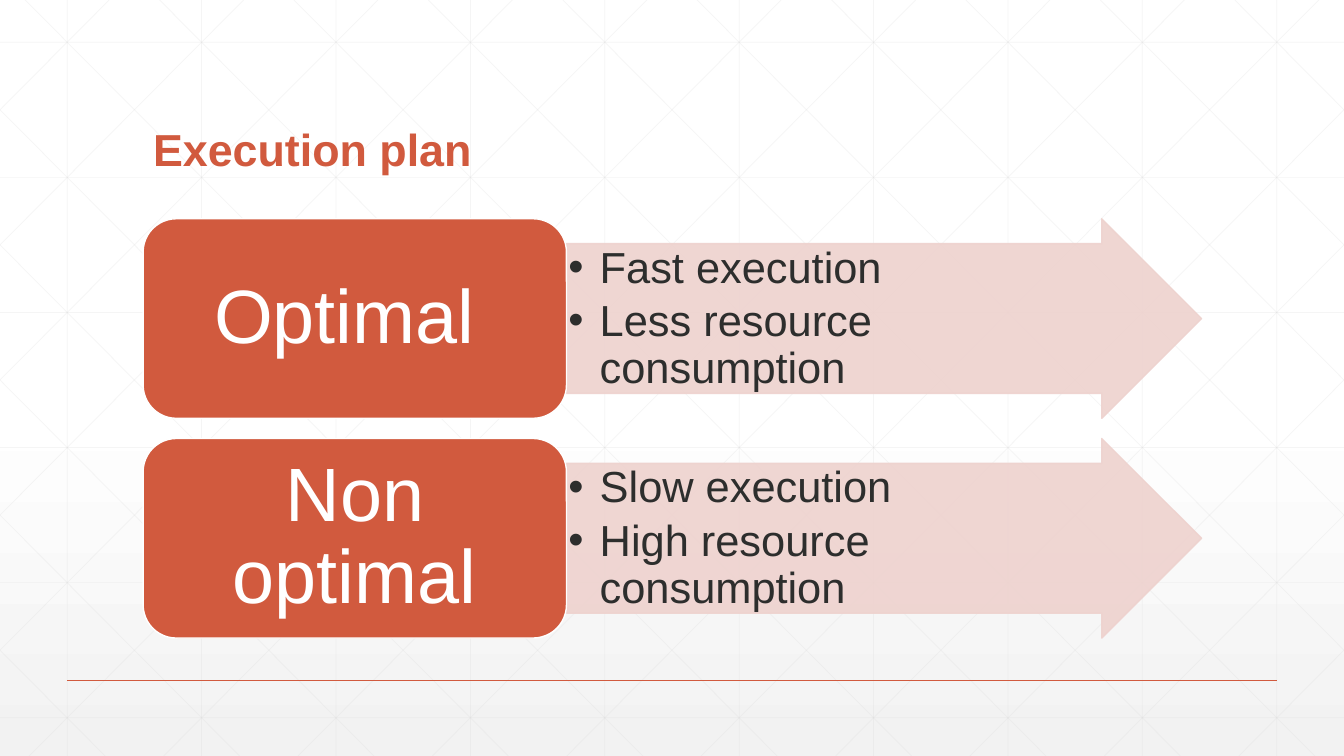
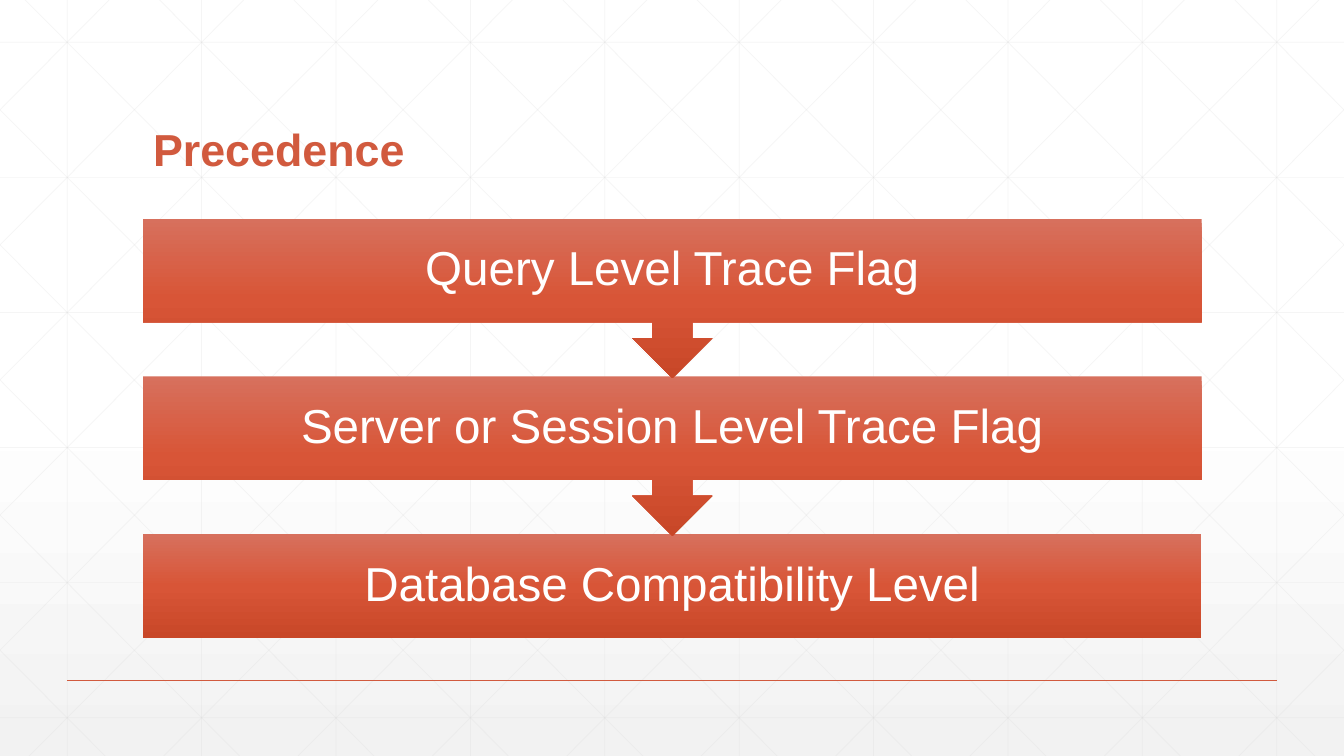
from lxml.etree import SubElement as Sub
from pptx import Presentation
from pptx.dml.color import RGBColor
from pptx.enum.shapes import MSO_CONNECTOR as Conn, MSO_SHAPE as Geo
from pptx.enum.text import MSO_ANCHOR as Anchor, PP_ALIGN as Align
from pptx.oxml.ns import qn
from pptx.util import Inches, Pt

# Content
PLANS = [
    ("Optimal ", ["Fast execution", "Less resource consumption"]),
    ("Non optimal", ["Slow execution", "High resource consumption"]),
]
LEVELS = [
    "Query Level Trace Flag",
    "Server or Session Level Trace Flag",
    "Database Compatibility Level",
]

# Shared look
FONT = "Arial"
RUST, PINK, INK, WHITE, GRAY = "D15A3E", "EED2CE", "2D2E2D", "FFFFFF", "D9D9D9"
PAPER = [(0, WHITE, 100), (53, WHITE, 100), (100, "F2F2F2", 65)]
GLOW = [(0, "D7705D", 100), (50, "D85537", 100), (100, "C84728", 100)]
WIDE, HIGH = 13.333, 7.5
CELL = WIDE / 10
LEFT, TOP, SPAN, DEPTH = 1.42, 2.17, 10.5, 4.16


def rgb(code):
    return RGBColor.from_string(code)


def fade(item, share):
    """Make every colour of a shape or line partly transparent."""
    for tint in item._element.spPr.iter(qn("a:srgbClr")):
        Sub(tint, qn("a:alpha"), val=str(share * 1000))


def blend(fill, root, stops):
    """Give a fill a gradient that runs from top to bottom."""
    fill.gradient()
    fill.gradient_angle = 270
    chain = next(root.iter(qn("a:gsLst")))
    for old in list(chain):
        chain.remove(old)
    for place, code, share in stops:
        stop = Sub(chain, qn("a:gs"), pos=str(place * 1000))
        tint = Sub(stop, qn("a:srgbClr"), val=code)
        if share < 100:
            Sub(tint, qn("a:alpha"), val=str(share * 1000))


def rule(slide, x1, y1, x2, y2, code, width):
    line = slide.shapes.add_connector(
        Conn.STRAIGHT, *[Inches(v) for v in (x1, y1, x2, y2)])
    line.line.color.rgb = rgb(code)
    line.line.width = Pt(width)
    Sub(line._element.spPr, qn("a:effectLst"))
    return line


def write(shape, lines, size, code, align=Align.CENTER, anchor=Anchor.MIDDLE,
          pads=(0.1, 0.05, 0.1, 0.05), bold=False, dots=False):
    frame = shape.text_frame
    frame.word_wrap = True
    frame.vertical_anchor = anchor
    (frame.margin_left, frame.margin_top,
     frame.margin_right, frame.margin_bottom) = [Inches(v) for v in pads]
    frame.text = "\n".join(lines)
    for para in frame.paragraphs:
        para.alignment = align
        para.line_spacing = 0.9
        if dots:
            para.space_after = Pt(0.15 * size)
            props = para._p.get_or_add_pPr()
            props.set("marL", str(Inches(0.31)))
            props.set("indent", str(-Inches(0.31)))
            Sub(props, qn("a:buFont"), typeface=FONT)
            Sub(props, qn("a:buChar"), char="•")
        font = para.font
        font.name, font.size, font.bold = FONT, Pt(size), bold
        font.color.rgb = rgb(code)


def block(slide, geo, x, y, w, h, fill=None, edge=None):
    shape = slide.shapes.add_shape(geo, *[Inches(v) for v in (x, y, w, h)])
    shape.shadow.inherit = False
    if fill:
        shape.fill.solid()
        shape.fill.fore_color.rgb = rgb(fill)
    else:
        blend(shape.fill, shape._element, GLOW)
    if edge:
        shape.line.color.rgb = rgb(edge)
        shape.line.width = Pt(1)
    else:
        shape.line.fill.background()
    return shape


def mesh():
    """Ends of the faint grid lines and of both sets of diagonals."""
    for i in range(10):
        yield (i + 0.5) * CELL, 0, (i + 0.5) * CELL, HIGH
    for i in range(6):
        yield 0, 0.42 + 1.34 * i, WIDE, 0.42 + 1.34 * i
    run = 7.46
    for i in range(-5, 10):
        start = 0.25 + i * CELL
        x1, x2 = max(start, 0), min(start + run, WIDE)
        y1, y2 = [(x - start) * HIGH / run for x in (x1, x2)]
        yield x1, y1, x2, y2
        yield WIDE - x1, y1, WIDE - x2, y2


def base(deck, title):
    slide = deck.slides.add_slide(deck.slide_layouts[6])
    blend(slide.background.fill, slide._element, PAPER)
    for ends in mesh():
        fade(rule(slide, *ends, GRAY, 0.5), 25)
    rule(slide, CELL / 2, 0.9 * HIGH, WIDE - CELL / 2, 0.9 * HIGH, RUST, 1)
    head = slide.shapes.add_textbox(
        *[Inches(v) for v in (LEFT, 0.55, SPAN, 1.25)])
    write(head, [title], 32, RUST, Align.LEFT, Anchor.BOTTOM, bold=True)
    return slide


def plans(deck):
    slide = base(deck, "Execution plan")
    tall, step, part = 1.98, 2.18, 0.4 * SPAN
    for i, (name, facts) in enumerate(PLANS):
        y = TOP + i * step
        arrow = block(slide, Geo.RIGHT_ARROW, LEFT + part, y, SPAN - part,
                      tall, PINK, PINK)
        arrow.adjustments[0] = 0.75
        fade(arrow, 90)
        write(arrow, facts, 31, INK, Align.LEFT, Anchor.TOP,
              (0.02, 0.02, 0.1, 0.02), dots=True)
        card = block(slide, Geo.ROUNDED_RECTANGLE, LEFT, y, part, tall,
                     RUST, WHITE)
        write(card, [name], 54, WHITE, pads=(0.23, 0.11, 0.23, 0.11))


def levels(deck):
    slide = base(deck, "Precedence")
    tall, body = 1.58, 1.03
    last = len(LEVELS) - 1
    step = (DEPTH - body) / last
    # Bottom bar first, so each arrow tip lies over the bar below
    for i in range(last, -1, -1):
        geo, h = ((Geo.RECTANGLE, body) if i == last
                  else (Geo.DOWN_ARROW_CALLOUT, tall))
        bar = block(slide, geo, LEFT, TOP + i * step, SPAN, h)
        write(bar, [LEVELS[i]], 34, WHITE, pads=(0.26,) * 4)


def main():
    deck = Presentation()
    deck.slide_width, deck.slide_height = Inches(WIDE), Inches(HIGH)
    plans(deck)
    levels(deck)
    deck.save("out.pptx")


if __name__ == "__main__":
    main()
